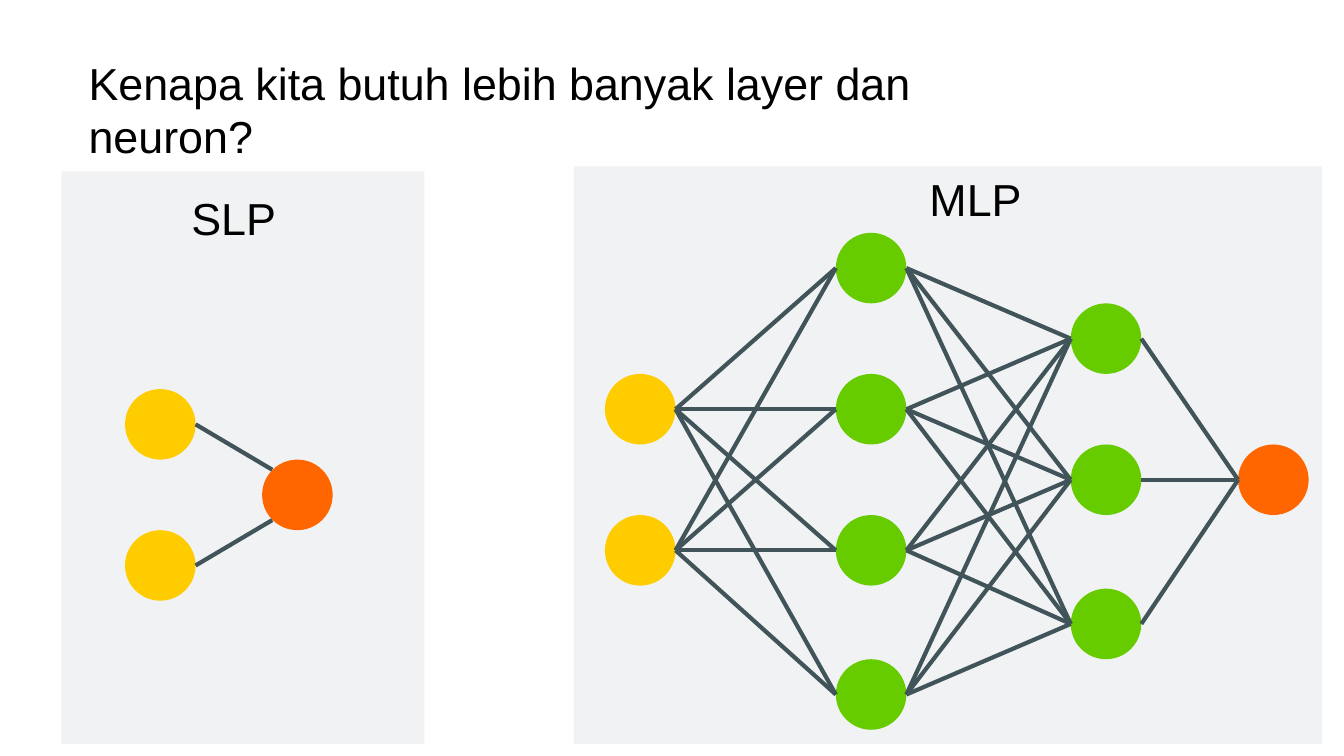
from dataclasses import dataclass
from itertools import pairwise, product

from lxml import etree
from pptx import Presentation
from pptx.dml.color import RGBColor
from pptx.enum.shapes import MSO_CONNECTOR, MSO_SHAPE
from pptx.oxml.ns import qn
from pptx.util import Pt

PX = 9144
NODE = 70
CORNER_X = 10
CORNER_Y = 25
RECTANGLE = MSO_SHAPE.RECTANGLE
OVAL = MSO_SHAPE.OVAL
STRAIGHT = MSO_CONNECTOR.STRAIGHT


@dataclass(frozen=True)
class Theme:
    font: str = "Arial"
    text_size: int = 32
    line_width: int = 3
    panel_opacity: int = 7
    text: str = "000000"
    slate: str = "41545A"
    input: str = "FFCC00"
    hidden: str = "66CC00"
    output: str = "FF6600"


@dataclass(frozen=True)
class Box:
    left: int
    top: int
    width: int
    height: int

    def emu(self):
        return [value * PX for value in (self.left, self.top, self.width, self.height)]

    def inner(self, left, top, width, height):
        return Box(self.left + left, self.top + top, width, height)


@dataclass(frozen=True)
class Layer:
    left: int
    tops: tuple
    color: str


THEME = Theme()

SLP_LAYERS = (
    Layer(63, (216, 356), THEME.input),
    Layer(199, (286,), THEME.output),
)
MLP_LAYERS = (
    Layer(31, (206, 346), THEME.input),
    Layer(260, (66, 206, 346, 489), THEME.hidden),
    Layer(493, (136, 276, 419), THEME.hidden),
    Layer(659, (276,), THEME.output),
)


def add_text(page, box, text):
    frame = page.shapes.add_textbox(*box.emu()).text_frame
    frame.word_wrap = True
    frame.text = text
    font = frame.paragraphs[0].runs[0].font
    font.name = THEME.font
    font.size = Pt(THEME.text_size)
    font.color.rgb = RGBColor.from_string(THEME.text)


def add_filled(shapes, kind, box, color):
    shape = shapes.add_shape(kind, *box.emu())
    shape.shadow.inherit = False
    shape.fill.solid()
    shape.fill.fore_color.rgb = RGBColor.from_string(color)
    shape.line.fill.background()
    return shape


def add_panel(page, box):
    panel = add_filled(page.shapes, RECTANGLE, box, THEME.slate)
    color = panel._element.spPr.find(qn("a:solidFill")).find(qn("a:srgbClr"))
    alpha = etree.SubElement(color, qn("a:alpha"))
    alpha.set("val", str(THEME.panel_opacity * 1000))


def add_link(shapes, start, end):
    link = shapes.add_connector(STRAIGHT, *[value * PX for value in start + end])
    link.line.width = Pt(THEME.line_width)
    link.line.color.rgb = RGBColor.from_string(THEME.slate)
    etree.SubElement(link._element.spPr, qn("a:effectLst"))


def add_network(page, box, layers, corner_ends=False):
    shapes = page.shapes.add_group_shape().shapes
    columns = []
    for layer in layers:
        nodes = [box.inner(layer.left, top, NODE, NODE) for top in layer.tops]
        for node in nodes:
            add_filled(shapes, OVAL, node, layer.color)
        columns.append(nodes)
    for sources, targets in pairwise(columns):
        for source, target in product(sources, targets):
            start = (source.left + NODE, source.top + NODE // 2)
            end = (target.left, target.top + NODE // 2)
            if corner_ends:
                shift = -CORNER_Y if source.top < target.top else CORNER_Y
                end = (end[0] + CORNER_X, end[1] + shift)
            add_link(shapes, start, end)


def add_slp(page, box):
    add_panel(page, box)
    add_network(page, box, SLP_LAYERS, corner_ends=True)
    add_text(page, box.inner(119, 14, 110, 64), "SLP")


def add_mlp(page, box):
    add_panel(page, box)
    add_network(page, box, MLP_LAYERS)
    add_text(page, box.inner(343, 0, 118, 64), "MLP")


def main():
    deck = Presentation()
    deck.slide_width = 1333 * PX
    deck.slide_height = 750 * PX
    page = deck.slides.add_slide(deck.slide_layouts[6])
    add_mlp(page, Box(569, 165, 742, 573))
    add_slp(page, Box(61, 170, 360, 568))
    add_text(page, Box(78, 50, 1011, 64),
             "Kenapa kita butuh lebih banyak layer dan neuron?")
    deck.save("out.pptx")


if __name__ == "__main__":
    main()
